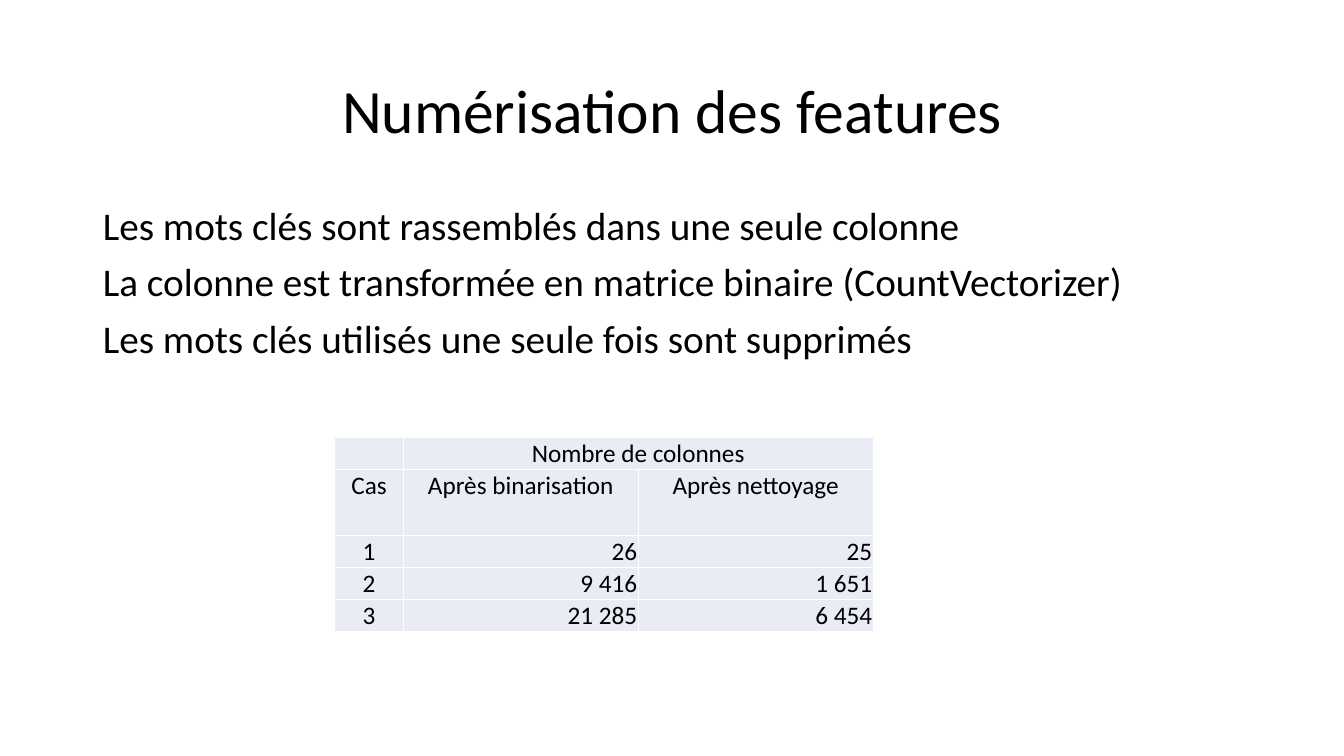
from lxml import etree
from pptx import Presentation
from pptx.dml.color import RGBColor
from pptx.enum.text import MSO_ANCHOR, PP_ALIGN
from pptx.oxml.ns import qn
from pptx.util import Emu, Pt

CENTER, RIGHT = PP_ALIGN.CENTER, PP_ALIGN.RIGHT
MIDDLE, TOP = MSO_ANCHOR.MIDDLE, MSO_ANCHOR.TOP
PX = 9144  # EMU per px, 100 px to the inch

THEME = {
    "font": "Calibri",
    "text": RGBColor(0x00, 0x00, 0x00),
    "cell": RGBColor(0xE9, 0xEB, 0xF5),
    "border": "FFFFFF",
    "border_width": Pt(1),
    "title_size": Pt(44),
    "body_size": Pt(28),
    "table_size": Pt(18),
}


def add_run(paragraph, text, size, alignment):
    paragraph.alignment = alignment
    run = paragraph.add_run()
    run.text = text
    run.font.name = THEME["font"]
    run.font.size = size
    run.font.bold = False
    run.font.color.rgb = THEME["text"]


def place(shape, left, top, width, height):
    shape.left, shape.top = Emu(left * PX), Emu(top * PX)
    shape.width, shape.height = Emu(width * PX), Emu(height * PX)


presentation = Presentation()
presentation.slide_width = Emu(1333 * PX)
presentation.slide_height = Emu(750 * PX)
slide = presentation.slides.add_slide(presentation.slide_layouts[1])

# Title
title = slide.shapes.title
place(title, 92, 40, 1150, 145)
title.text_frame.vertical_anchor = MIDDLE
title_paragraph = title.text_frame.paragraphs[0]
title_paragraph.line_spacing = 0.9
add_run(title_paragraph, "Numérisation des features", THEME["title_size"], CENTER)

# Processing steps, without bullets
steps = [
    "Les mots clés sont rassemblés dans une seule colonne",
    "La colonne est transformée en matrice binaire (CountVectorizer)",
    "Les mots clés utilisés une seule fois sont supprimés",
]
body = slide.placeholders[1]
place(body, 92, 200, 1150, 476)
body.text_frame.vertical_anchor = TOP
for index, step in enumerate(steps):
    paragraph = body.text_frame.add_paragraph() if index else body.text_frame.paragraphs[0]
    paragraph.line_spacing = 0.9
    paragraph.space_before = Pt(10)
    add_run(paragraph, step, THEME["body_size"], PP_ALIGN.LEFT)
    properties = paragraph._p.get_or_add_pPr()
    properties.set("marL", "0")
    properties.set("indent", "0")
    etree.SubElement(properties, qn("a:buNone"))

# Column counts
rows = [
    ["", "Nombre de colonnes", ""],
    ["Cas", "Après binarisation", "Après nettoyage"],
    ["1", "26", "25"],
    ["2", "9 416", "1 651"],
    ["3", "21 285", "6 454"],
]
header_rows = 2
column_widths = [68, 233, 233]
row_heights = [32, 65, 32, 32, 32]
frame = slide.shapes.add_table(
    len(rows), len(column_widths), Emu(332 * PX), Emu(434 * PX),
    Emu(sum(column_widths) * PX), Emu(sum(row_heights) * PX),
)
table = frame.table
table.first_row = False
table.horz_banding = False
for column, width in zip(table.columns, column_widths):
    column.width = Emu(width * PX)
for row, height in zip(table.rows, row_heights):
    row.height = Emu(height * PX)

for row_index, row_values in enumerate(rows):
    for column_index, value in enumerate(row_values):
        cell = table.cell(row_index, column_index)
        cell.margin_left = cell.margin_top = cell.margin_right = Emu(PX)
        cell.margin_bottom = 0
        cell_properties = cell._tc.get_or_add_tcPr()
        for side in ("a:lnL", "a:lnR", "a:lnT", "a:lnB"):
            line = etree.SubElement(cell_properties, qn(side), w=str(THEME["border_width"]))
            line_fill = etree.SubElement(line, qn("a:solidFill"))
            etree.SubElement(line_fill, qn("a:srgbClr"), val=THEME["border"])
        cell.fill.solid()
        cell.fill.fore_color.rgb = THEME["cell"]
        if value:
            is_number = row_index >= header_rows and column_index > 0
            add_run(cell.text_frame.paragraphs[0], value, THEME["table_size"],
                    RIGHT if is_number else CENTER)
table.cell(0, 1).merge(table.cell(0, 2))

presentation.save("out.pptx")
